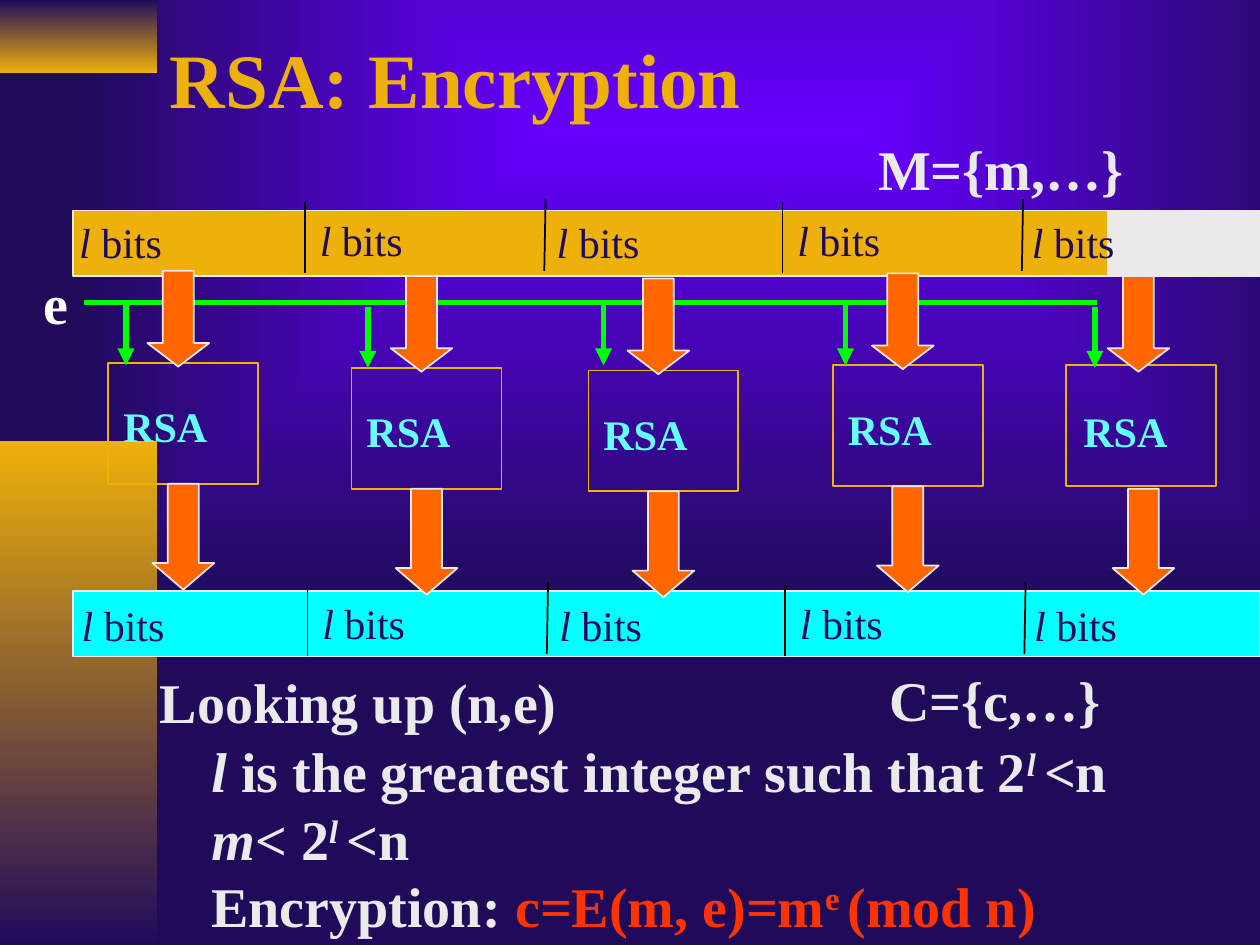
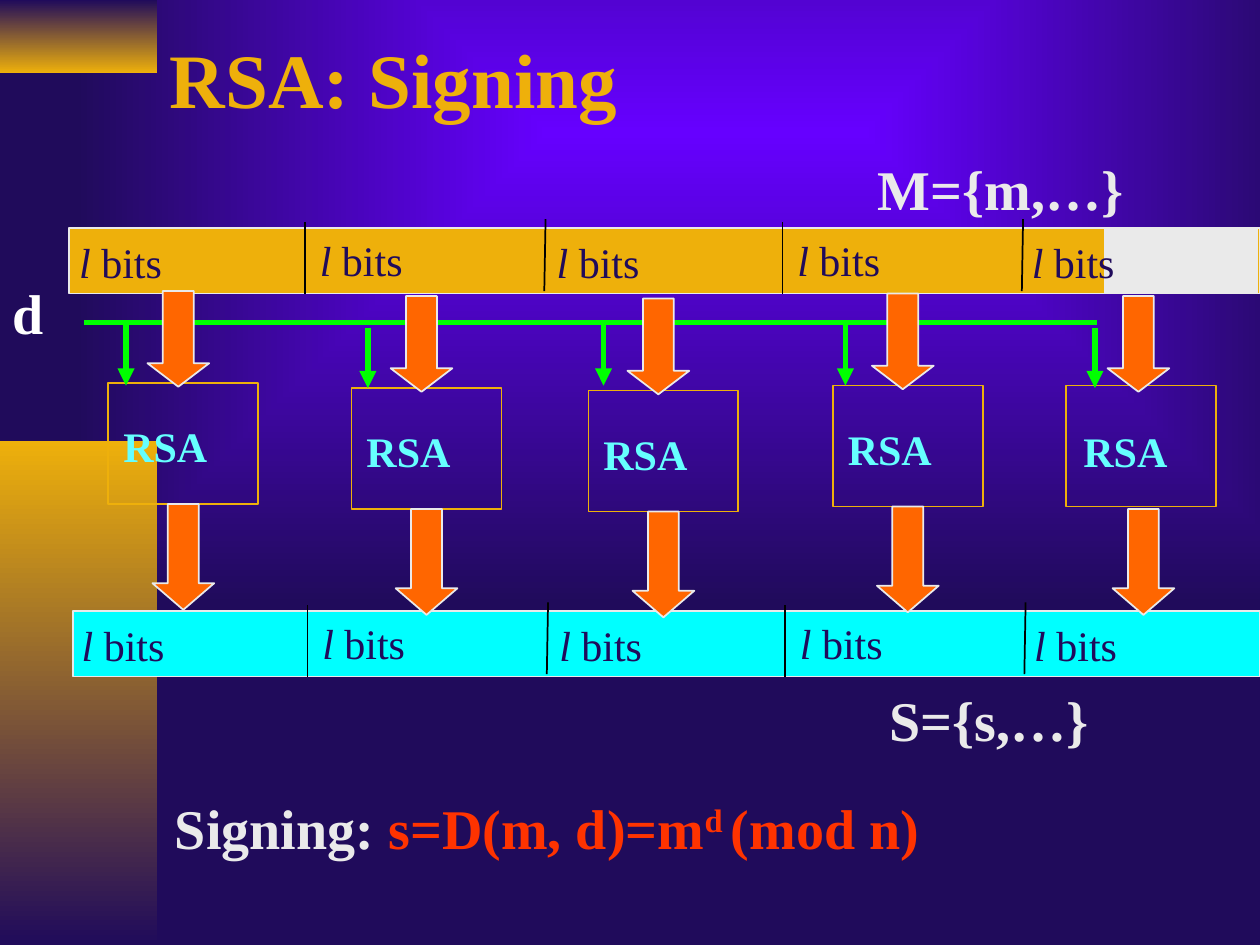
"""Build two slides that show block-wise RSA encryption and signing."""
from dataclasses import dataclass

import lxml.etree
import pptx
import pptx.dml.color
import pptx.enum.shapes
import pptx.enum.text
import pptx.oxml.ns
import pptx.util

Inches = pptx.util.Inches
Shapes = pptx.enum.shapes.MSO_SHAPE
qn = pptx.oxml.ns.qn

FONT = "Times New Roman"
NAVY, VIOLET, GOLD, PALE = "200B5B", "6600FF", "EEB00B", "EAEAEA"
CYAN, AQUA, ORANGE, GREEN = "00FFFF", "66FFFF", "FF6600", "00FF00"
RED, WHITE, BLACK = "FF3300", "FFFFFF", "000000"

BAR_HEIGHT = 0.52
CIPHER_SHIFT = (0.02, 3.04)


@dataclass(frozen=True)
class Area:
    """Position and size in inches."""
    left: float
    top: float
    width: float
    height: float


@dataclass(frozen=True)
class Span:
    """Text with one look; a missing colour follows the paragraph."""
    text: str
    color: str | None = None
    italic: bool = False
    raised: bool = False


@dataclass(frozen=True)
class Lane:
    """One RSA unit with its key arrow."""
    left: float
    top: float
    key_x: float
    key_top: float
    box_shift: float = 0


@dataclass(frozen=True)
class Block:
    """One label in a row of blocks."""
    left: float
    top: float


@dataclass(frozen=True)
class Divider:
    """One line between two blocks."""
    bottom_x: float
    top_x: float
    bottom: float


@dataclass(frozen=True)
class Caption:
    """Large text of one or more paragraphs."""
    area: Area
    lines: list[list[Span]]
    color: str = PALE
    wrap: bool = True


@dataclass(frozen=True)
class Scheme:
    """What one slide shows; drop moves the diagram down."""
    title: str
    drop: float
    message_bar: Area
    padding_left: float
    captions: list[Caption]


LANES = [
    Lane(0.86, 2.88, 1, 2.42),
    Lane(2.79, 2.92, 2.92, 2.44),
    Lane(4.67, 2.94, 4.79, 2.42),
    Lane(6.61, 2.9, 6.71, 2.42),
    Lane(8.48, 2.92, 8.69, 2.44, -0.02),
]
BLOCKS = [Block(0.53, 1.67), Block(2.44, 1.65), Block(4.32, 1.67),
          Block(6.23, 1.65), Block(8.09, 1.67)]
DIVIDERS = [Divider(2.42, 2.42, 2.17), Divider(4.32, 4.33, 2.15),
            Divider(6.21, 6.21, 2.17), Divider(8.11, 8.12, 2.15)]

SCHEMES = [
    Scheme("RSA: Encryption", 0, Area(0.58, 1.67, 8.22, BAR_HEIGHT), 8.79, [
        Caption(Area(0.25, 2.08, 0.4, 0.63), [[Span("e")]], WHITE, False),
        Caption(Area(6.87, 1.02, 2.88, 0.63), [[Span("M={m,…}")]]),
        Caption(Area(6.96, 5.23, 2.62, 0.63), [[Span("C={c,…}")]]),
        Caption(Area(1.17, 5.25, 4.08, 0.63), [[Span("Looking up (n,e)")]]),
        Caption(Area(1.58, 5.8, 8.21, 1.7), [
            [Span("l", italic=True), Span(" is the greatest integer such that 2"),
             Span("l ", italic=True, raised=True), Span("<n")],
            [Span("m< ", italic=True), Span("2"),
             Span("l ", italic=True, raised=True), Span("<n")],
            [Span("Encryption: "), Span("c=E(m, e)=m", RED),
             Span("e ", RED, raised=True), Span("(mod n)", RED)],
        ]),
    ]),
    Scheme("RSA: Signing", 0.16, Area(0.55, 1.81, 9.45, BAR_HEIGHT), 8.77, [
        Caption(Area(0, 2.16, 0.45, 0.63), [[Span("d")]], WHITE, False),
        Caption(Area(6.87, 1.18, 2.8, 0.63), [[Span("M={m,…}")]]),
        Caption(Area(6.96, 5.39, 3.04, 0.63), [[Span("S={s,…}")]]),
        Caption(Area(1.29, 6.25, 8.71, 0.63), [
            [Span("Signing: "), Span("s=D(m, d)=m", RED),
             Span("d ", RED, raised=True), Span("(mod n)", RED)],
        ]),
    ]),
]


def rgb(color: str) -> pptx.dml.color.RGBColor:
    """Turn a hex string into a colour."""
    return pptx.dml.color.RGBColor.from_string(color)


def lengths(area: Area) -> list[pptx.util.Length]:
    """Give the area as four lengths."""
    return [Inches(value) for value in (area.left, area.top, area.width, area.height)]


def set_gradient(fill, first: str, last: str) -> None:
    """Fill with a gradient of two colours."""
    fill.gradient()
    for stop, color in zip(fill.gradient_stops, (first, last)):
        stop.color.rgb = rgb(color)


def set_background(master) -> None:
    """Give all slides a glow that spreads from the upper middle."""
    set_gradient(master.background.fill, VIOLET, NAVY)
    gradient = master.element.find(".//" + qn("a:gradFill"))
    gradient.remove(gradient.find(qn("a:lin")))
    glow = lxml.etree.SubElement(gradient, qn("a:path"), path="shape")
    lxml.etree.SubElement(glow, qn("a:fillToRect"),
                          l="14000", t="6000", r="1000", b="78000")


def add_band(page, area: Area, top_color: str, bottom_color: str) -> None:
    """Draw a side band that fades downwards."""
    band = page.shapes.add_shape(Shapes.RECTANGLE, *lengths(area))
    band.shadow.inherit = False
    set_gradient(band.fill, top_color, bottom_color)
    band.fill.gradient_angle = 270
    band.line.fill.background()


def add_figure(page, kind, area: Area, fill: str | None, line: str):
    """Draw an outlined shape, hollow when no fill is given."""
    figure = page.shapes.add_shape(kind, *lengths(area))
    figure.shadow.inherit = False
    if fill:
        figure.fill.solid()
        figure.fill.fore_color.rgb = rgb(fill)
    else:
        figure.fill.background()
    figure.line.color.rgb = rgb(line)
    figure.line.width = pptx.util.Pt(1)
    return figure


def add_down_arrow(page, area: Area, head: float) -> None:
    """Draw a block arrow that points down."""
    arrow = add_figure(page, Shapes.DOWN_ARROW, area, ORANGE, PALE)
    arrow.adjustments[0] = 0.5
    arrow.adjustments[1] = head


def add_line(page, start: tuple[float, float], end: tuple[float, float],
             color: str, width: float, arrowhead: bool = False) -> None:
    """Draw a straight line, with an arrowhead at its end on request."""
    line = page.shapes.add_connector(
        pptx.enum.shapes.MSO_CONNECTOR.STRAIGHT,
        *[Inches(value) for value in start + end])
    line.line.color.rgb = rgb(color)
    line.line.width = pptx.util.Pt(width)
    if arrowhead:
        lxml.etree.SubElement(line.line._get_or_add_ln(), qn("a:tailEnd"),
                              type="triangle")
    lxml.etree.SubElement(line._element.spPr, qn("a:effectLst"))


def add_text(page, area: Area, lines: list[list[Span]], size: float, color: str,
             bold: bool = True, wrap: bool = True):
    """Write paragraphs of spans and return their text frame."""
    frame = page.shapes.add_textbox(*lengths(area)).text_frame
    frame.word_wrap = wrap
    for index, spans in enumerate(lines):
        para = frame.add_paragraph() if index else frame.paragraphs[0]
        para.font.name = FONT
        para.font.size = pptx.util.Pt(size)
        para.font.bold = bold
        para.font.color.rgb = rgb(color)
        for part in spans:
            span = para.add_run()
            span.text = part.text
            if part.italic:
                span.font.italic = True
            if part.color:
                span.font.color.rgb = rgb(part.color)
            if part.raised:
                span._r.get_or_add_rPr().set("baseline", "30000")
    return frame


def add_block_row(page, right: float, down: float) -> None:
    """Draw the dividers and labels of one row of blocks."""
    for divider in DIVIDERS:
        bottom = divider.bottom + down
        add_line(page, (divider.bottom_x + right, bottom),
                 (divider.top_x + right, bottom - 0.57), BLACK, 1)
    for block in BLOCKS:
        add_text(page, Area(block.left + right, block.top + down, 1.89, 0.5),
                 [[Span("l", italic=True), Span(" bits")]], 24, NAVY, bold=False)


def add_lane(page, lane: Lane, drop: float) -> None:
    """Draw one RSA unit, the arrows through it and its key arrow."""
    left, top = lane.left, lane.top + drop
    add_figure(page, Shapes.RECTANGLE,
               Area(left + lane.box_shift, top + lane.box_shift, 1.19, 0.96), None, GOLD)
    add_text(page, Area(left + 0.02, top + 0.25, 1.21, 0.5), [[Span("RSA")]], 24, AQUA)
    add_down_arrow(page, Area(left + 0.31, top - 0.73, 0.49, 0.76), 0.38)
    add_down_arrow(page, Area(left + 0.35, top + 0.96, 0.49, 0.84), 0.43)
    key_top = lane.key_top + drop
    add_line(page, (lane.key_x, key_top), (lane.key_x, key_top + 0.48),
             GREEN, 3.25, arrowhead=True)


def add_scheme(deck, scheme: Scheme) -> None:
    """Add the slide of one scheme."""
    page = deck.slides.add_slide(deck.slide_layouts[6])
    drop = scheme.drop
    add_band(page, Area(0, 0, 1.25, 0.58), NAVY, GOLD)
    add_band(page, Area(0, 3.5, 1.25, 4), GOLD, NAVY)
    title = add_text(page, Area(1.25, 0.27, 8.75, 0.69), [[Span(scheme.title)]], 44, GOLD)
    title.vertical_anchor = pptx.enum.text.MSO_ANCHOR.MIDDLE

    add_line(page, (0.67, 2.4 + drop), (8.71, 2.4 + drop), GREEN, 3.25)
    padding = Area(scheme.padding_left, scheme.message_bar.top, 1.21, BAR_HEIGHT)
    cipher_bar = Area(0.58, 4.69 + drop, 9.42, BAR_HEIGHT)
    for area, color in ((scheme.message_bar, GOLD), (padding, PALE), (cipher_bar, CYAN)):
        add_figure(page, Shapes.RECTANGLE, area, color, PALE)
    for right, down in ((0, 0), CIPHER_SHIFT):
        add_block_row(page, right, down + drop)
    for lane in LANES:
        add_lane(page, lane, drop)
    for caption in scheme.captions:
        add_text(page, caption.area, caption.lines, 32, caption.color, wrap=caption.wrap)


def main() -> None:
    """Build and save the deck."""
    deck = pptx.Presentation()
    deck.slide_width, deck.slide_height = Inches(10), Inches(7.5)
    set_background(deck.slide_master)
    for scheme in SCHEMES:
        add_scheme(deck, scheme)
    deck.save("out.pptx")


if __name__ == "__main__":
    main()
